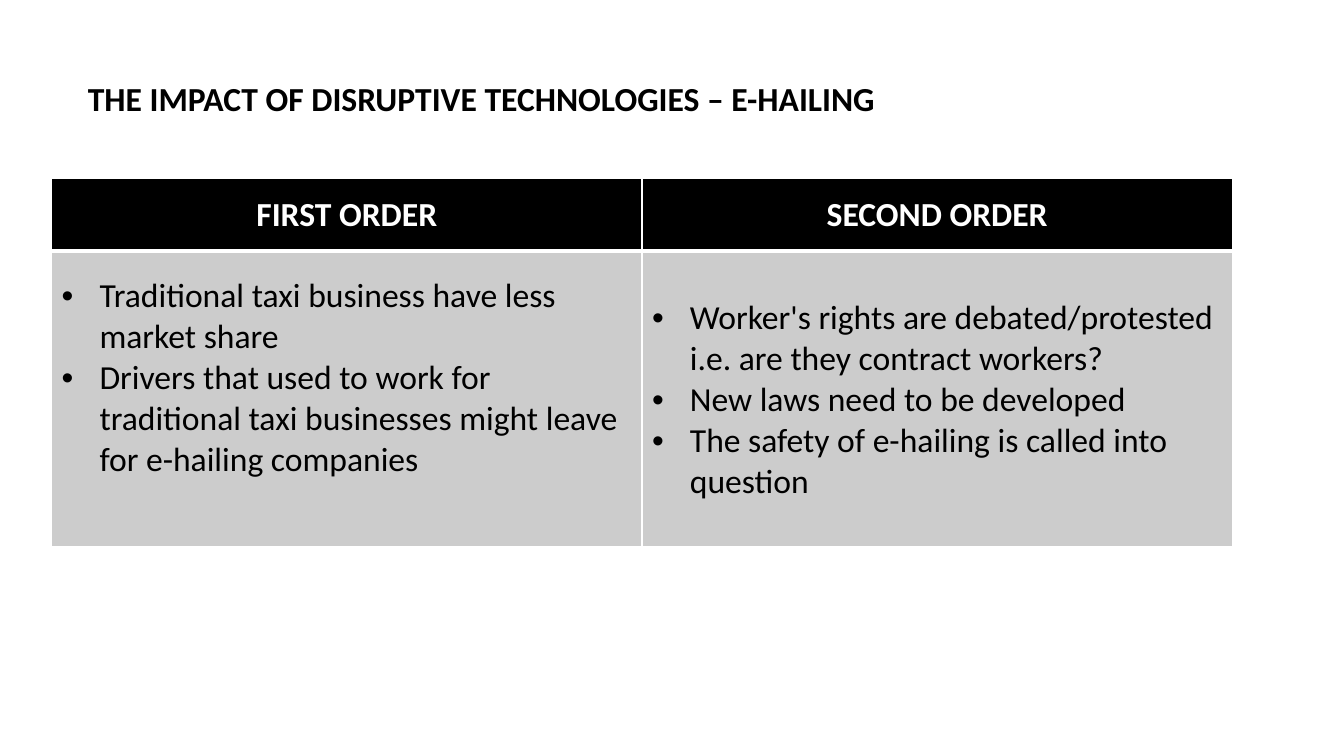
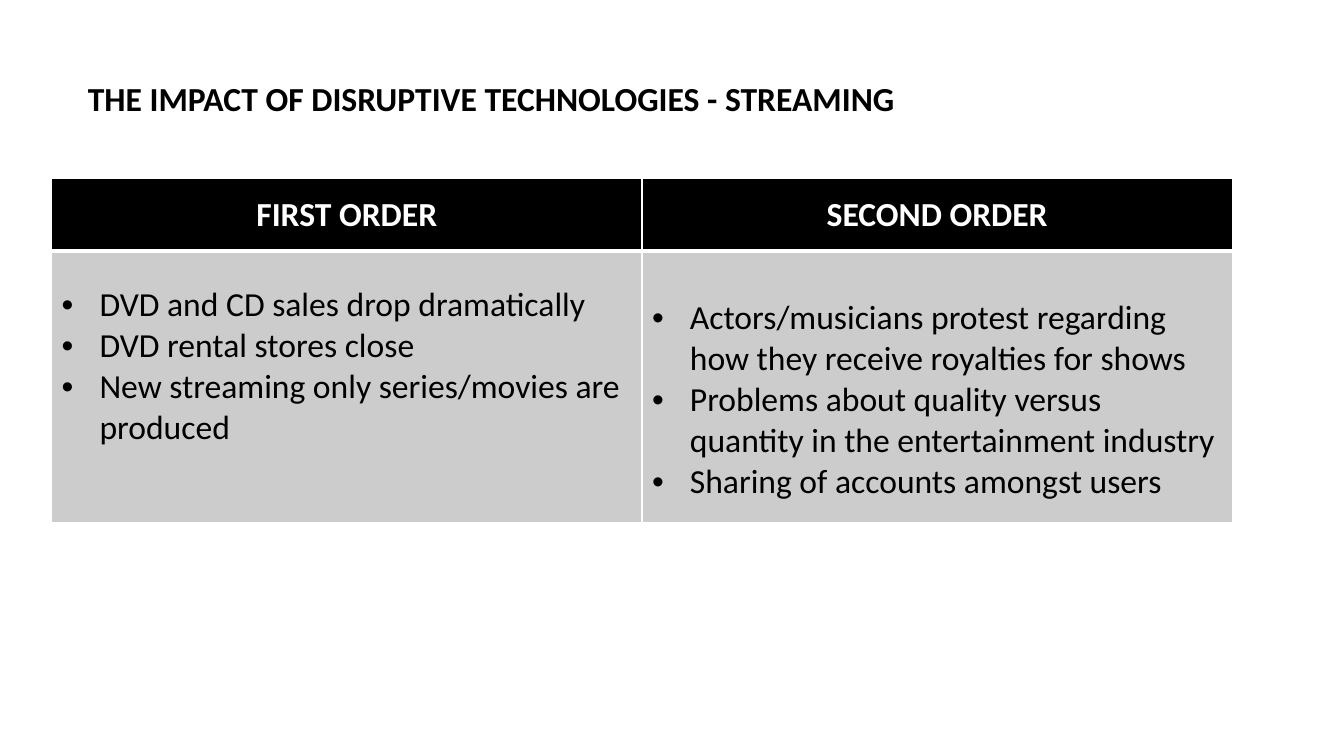
from dataclasses import dataclass

import lxml.etree
import pptx
import pptx.dml.color
import pptx.enum.text
import pptx.oxml.ns
import pptx.util

Pt = pptx.util.Pt
RGBColor = pptx.dml.color.RGBColor
ALIGN = pptx.enum.text.PP_ALIGN
ANCHOR = pptx.enum.text.MSO_ANCHOR
qn = pptx.oxml.ns.qn

BLACK = RGBColor(0x00, 0x00, 0x00)
WHITE = RGBColor(0xFF, 0xFF, 0xFF)
GREY = RGBColor(0xCC, 0xCC, 0xCC)
FONT = "Calibri"
TEXT_SIZE = 24
BULLET_INDENT = 27
TITLE_BOX = (55.5, 53.3, 838.8, 35.3)
TABLE_LEFT, TABLE_TOP = 36.9, 127.6
COLUMN_WIDTH = 421.7
HEADER_HEIGHT = 51.8
THIN, THICK = 1, 3
CELL_MARGIN = 3.6
LINE_OFFSET = 33
ORDERS = ("FIRST ORDER", "SECOND ORDER")


@dataclass(frozen=True)
class ImpactSlide:
    title: str
    first_order: tuple[str, ...]
    second_order: tuple[str, ...]
    body_height: float


IMPACT_SLIDES = (
    ImpactSlide(
        title="THE IMPACT OF DISRUPTIVE TECHNOLOGIES – E-HAILING",
        first_order=(
            "Traditional taxi business have less market share",
            "Drivers that used to work for traditional taxi businesses "
            "might leave for e-hailing companies",
        ),
        second_order=(
            "Worker's rights are debated/protested i.e. are they contract workers?",
            "New laws need to be developed",
            "The safety of e-hailing is called into question",
        ),
        body_height=211,
    ),
    ImpactSlide(
        title="THE IMPACT OF DISRUPTIVE TECHNOLOGIES - STREAMING",
        first_order=(
            "DVD and CD sales drop dramatically",
            "DVD rental stores close",
            "New streaming only series/movies are produced",
        ),
        second_order=(
            "Actors/musicians protest regarding how they receive royalties for shows",
            "Problems about quality versus quantity in the entertainment industry",
            "Sharing of accounts amongst users",
        ),
        body_height=194,
    ),
)


def add_bullet(paragraph) -> None:
    properties = paragraph._p.get_or_add_pPr()
    properties.set("marL", str(Pt(BULLET_INDENT)))
    properties.set("indent", str(-Pt(BULLET_INDENT)))
    lxml.etree.SubElement(properties, qn("a:buFont"), typeface="Arial")
    lxml.etree.SubElement(properties, qn("a:buChar"), char="•")


def write_text(frame, lines: tuple[str, ...], *, color: RGBColor = BLACK,
               bold: bool = False, align: ALIGN = ALIGN.LEFT,
               spacing: float = 1.0, bulleted: bool = False) -> None:
    frame.word_wrap = True
    for index, line in enumerate(lines):
        paragraph = frame.add_paragraph() if index else frame.paragraphs[0]
        paragraph.alignment = align
        paragraph.line_spacing = spacing
        paragraph.space_before = paragraph.space_after = Pt(0)
        if bulleted:
            add_bullet(paragraph)
        run = paragraph.add_run()
        run.text = line
        run.font.name = FONT
        run.font.size = Pt(TEXT_SIZE)
        run.font.bold = bold
        run.font.color.rgb = color


def set_borders(cell, *, top: float, bottom: float) -> None:
    properties = cell._tc.get_or_add_tcPr()
    widths = {"a:lnL": THIN, "a:lnR": THIN, "a:lnT": top, "a:lnB": bottom}
    for position, (side, width) in enumerate(widths.items()):
        border = lxml.etree.Element(qn(side), w=str(Pt(width)))
        fill = lxml.etree.SubElement(border, qn("a:solidFill"))
        lxml.etree.SubElement(fill, qn("a:srgbClr"), val=str(WHITE))
        properties.insert(position, border)


def style_cell(cell, *, fill: RGBColor, anchor: ANCHOR, top: float, bottom: float,
               margin_top: float = CELL_MARGIN, margin_bottom: float = CELL_MARGIN) -> None:
    cell.fill.solid()
    cell.fill.fore_color.rgb = fill
    cell.vertical_anchor = anchor
    cell.margin_top, cell.margin_bottom = Pt(margin_top), Pt(margin_bottom)
    set_borders(cell, top=top, bottom=bottom)


def add_title(slide, text: str) -> None:
    title = slide.shapes.title
    title.left, title.top, title.width, title.height = map(Pt, TITLE_BOX)
    title.text_frame.auto_size = pptx.enum.text.MSO_AUTO_SIZE.NONE
    title.text_frame.vertical_anchor = ANCHOR.BOTTOM
    write_text(title.text_frame, (text,), bold=True, spacing=0.9)


def add_order_table(slide, impact: ImpactSlide) -> None:
    table = slide.shapes.add_table(
        2, len(ORDERS), Pt(TABLE_LEFT), Pt(TABLE_TOP),
        Pt(COLUMN_WIDTH * len(ORDERS)), Pt(HEADER_HEIGHT + impact.body_height),
    ).table
    table.rows[0].height = Pt(HEADER_HEIGHT)
    table.rows[1].height = Pt(impact.body_height)
    for index, order in enumerate(ORDERS):
        table.columns[index].width = Pt(COLUMN_WIDTH)
        header = table.cell(0, index)
        style_cell(header, fill=BLACK, anchor=ANCHOR.MIDDLE, top=THIN, bottom=THICK)
        write_text(header.text_frame, (order,), color=WHITE, bold=True, align=ALIGN.CENTER)

    first, second = table.cell(1, 0), table.cell(1, 1)
    style_cell(first, fill=GREY, anchor=ANCHOR.MIDDLE, top=THICK, bottom=THIN,
               margin_bottom=LINE_OFFSET)
    style_cell(second, fill=GREY, anchor=ANCHOR.TOP, top=THICK, bottom=THIN,
               margin_top=LINE_OFFSET)
    write_text(first.text_frame, impact.first_order, bulleted=True)
    write_text(second.text_frame, impact.second_order, bulleted=True)


def main() -> None:
    presentation = pptx.Presentation()
    presentation.slide_width, presentation.slide_height = Pt(960), Pt(540)
    title_only = presentation.slide_layouts.get_by_name("Title Only")
    for impact in IMPACT_SLIDES:
        slide = presentation.slides.add_slide(title_only)
        add_title(slide, impact.title)
        add_order_table(slide, impact)
    presentation.save("out.pptx")


if __name__ == "__main__":
    main()
